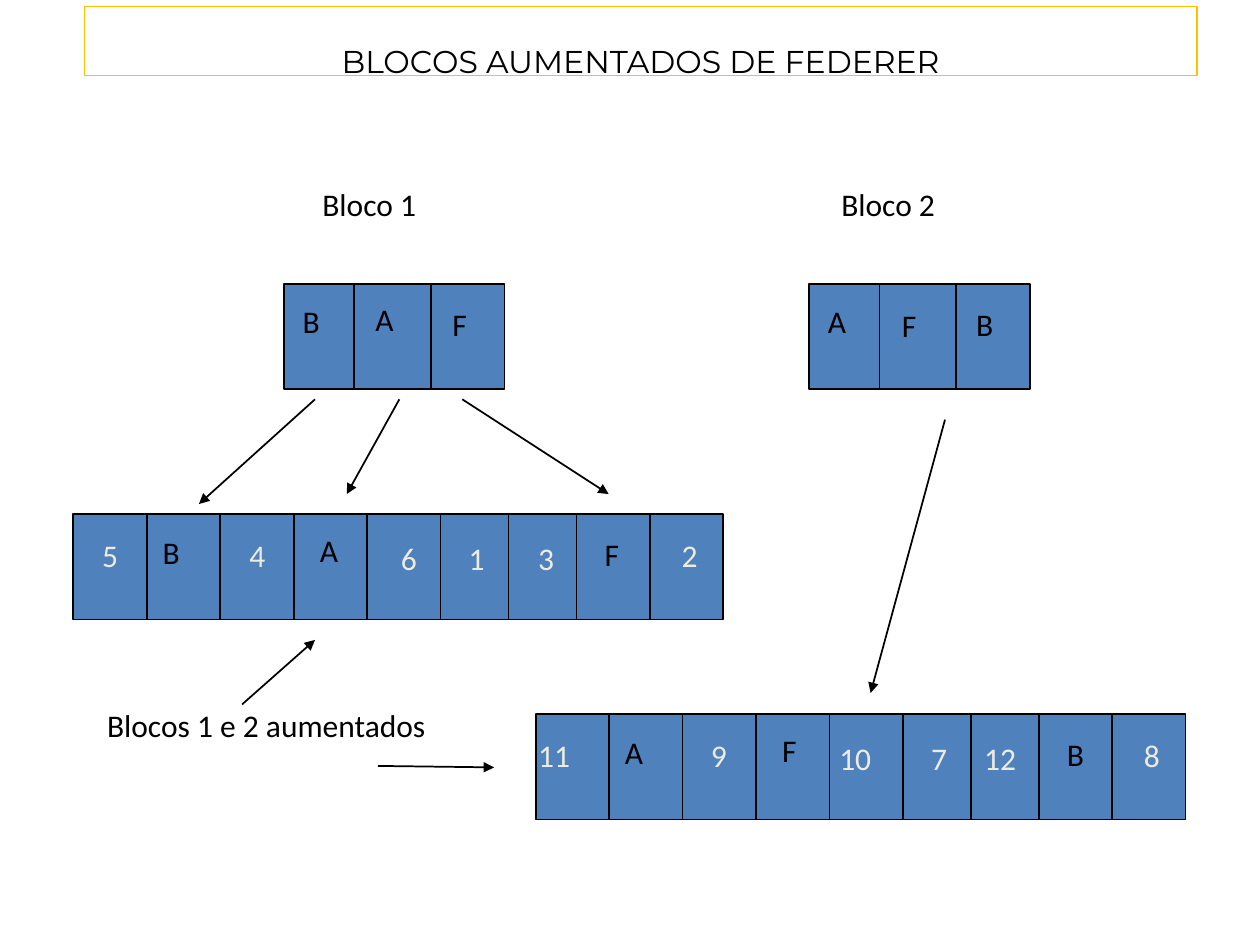
from itertools import accumulate

from pptx import Presentation
from pptx.dml.color import RGBColor
from pptx.enum.shapes import MSO_CONNECTOR as Link, MSO_SHAPE as Preset
from pptx.enum.text import MSO_ANCHOR as Anchor, MSO_AUTO_SIZE as AutoSize, PP_ALIGN as Align
from pptx.oxml.ns import qn
from pptx.util import Cm, Pt
from lxml import etree

BLACK = RGBColor(0x00, 0x00, 0x00)
BLUE = RGBColor(0x4F, 0x81, 0xBD)
CREAM = RGBColor(0xEE, 0xEC, 0xE1)
GOLD = RGBColor(0xFF, 0xC0, 0x00)

# Content; all lengths in centimetres
TITLE = "BLOCOS AUMENTADOS DE FEDERER"
CAPTIONS = [  # text, left, top, width
    ("Bloco 1", 6.25, 3.61, 4.45),
    ("Bloco 2", 16.71, 3.61, 4.65),
    ("Blocos 1 e 2 aumentados", 1.91, 14.1, 7.2),
]
BLOCK_CELLS = [1.42, 1.55, 1.48]
AUGMENTED_CELLS = [1.48] * 5 + [1.37] * 2 + [1.48] * 2
AUGMENTED_TOPS = [0.32, 0.25, 0.32, 0.22, 0.38, 0.38, 0.38, 0.3, 0.32]
BLOCKS = [  # left, top, cell widths, treatments, label lefts, label tops
    (1.48, 10.37, AUGMENTED_CELLS, "5 B 4 A 6 1 3 F 2",
     [0.33, 1.55, 3.3, 4.72, 6.35, 7.72, 9.12, 10.46, 12.01], AUGMENTED_TOPS),
    (5.72, 5.72, BLOCK_CELLS, "B A F", [0.13, 1.6, 3.15], [0.25, 0.2, 0.3]),
    (16.31, 5.72, BLOCK_CELLS, "A F B", [0.13, 1.62, 3.12], [0.25, 0.33, 0.3]),
    (10.8, 14.4, AUGMENTED_CELLS, "11 A 9 F 10 7 12 B 8",
     [-0.2, 1.55, 3.28, 4.72, 5.87, 7.72, 8.79, 10.46, 12.01], AUGMENTED_TOPS),
]
ARROWS = [  # start x, start y, end x, end y
    (6.35, 8.05, 4.01, 10.16),
    (8.05, 8.05, 6.99, 9.96),
    (9.32, 8.05, 12.27, 9.96),
    (19.05, 8.46, 17.55, 13.97),
    (4.88, 14.2, 6.35, 12.9),
    (7.62, 15.44, 9.96, 15.47),
]
BLOCK_HEIGHT = 2.12
LABEL_HEIGHT = 1.02

deck = Presentation()
deck.slide_width, deck.slide_height = Cm(25.4), Cm(19.05)
page = deck.slides.add_slide(deck.slide_layouts[5])


def add_span(para, text, color=BLACK, font="Calibri"):
    span = para.add_run()
    span.text = text
    span.font.name, span.font.size = font, Pt(18)
    span.font.color.rgb = color


def add_label(text, left, top, width, color=BLACK):
    box = page.shapes.add_textbox(Cm(left), Cm(top), Cm(width), Cm(LABEL_HEIGHT))
    box.text_frame.word_wrap = True
    add_span(box.text_frame.paragraphs[0], text, color)


def add_line(x1, y1, x2, y2, arrow=False):
    line = page.shapes.add_connector(Link.STRAIGHT, Cm(x1), Cm(y1), Cm(x2), Cm(y2))
    line.line.color.rgb, line.line.width = BLACK, Pt(1)
    properties = line.element.spPr
    etree.SubElement(properties, qn("a:effectLst"))
    if arrow:
        etree.SubElement(properties.find(qn("a:ln")), qn("a:tailEnd"), type="triangle")


def label_width(text, is_block):
    if is_block:
        return 0.51
    if text.isalpha():
        return 1.17
    return 0.85 if len(text) == 1 else 1.85


# Blocks with their dividers and treatment labels
for left, top, cells, treatments, lefts, tops in BLOCKS:
    bar = page.shapes.add_shape(Preset.RECTANGLE, Cm(left), Cm(top), Cm(sum(cells)), Cm(BLOCK_HEIGHT))
    bar.shadow.inherit = False
    bar.fill.solid()
    bar.fill.fore_color.rgb = BLUE
    bar.line.color.rgb, bar.line.width = BLACK, Pt(1)
    for edge in accumulate(cells[:-1]):
        add_line(left + edge, top, left + edge, top + BLOCK_HEIGHT)
    for text, dx, dy in zip(treatments.split(), lefts, tops):
        add_label(text, left + dx, top + dy, label_width(text, cells is BLOCK_CELLS),
                  BLACK if text.isalpha() else CREAM)

# Captions and arrows
for caption in CAPTIONS:
    add_label(*caption)
for arrow in ARROWS:
    add_line(*arrow, arrow=True)

# Title, set low in its frame
title = page.shapes.title
title.left, title.top, title.width, title.height = Cm(1.7), Cm(0.13), Cm(22.43), Cm(1.4)
title.line.color.rgb, title.line.width = GOLD, Pt(0.75)
frame = title.text_frame
frame.word_wrap, frame.auto_size = True, AutoSize.NONE
frame.vertical_anchor = Anchor.TOP
frame.margin_top, frame.margin_bottom = Cm(0.72), Cm(0)
para = frame.paragraphs[0]
para.alignment = Align.CENTER
add_span(para, TITLE, font="Montserrat")

deck.save("out.pptx")
